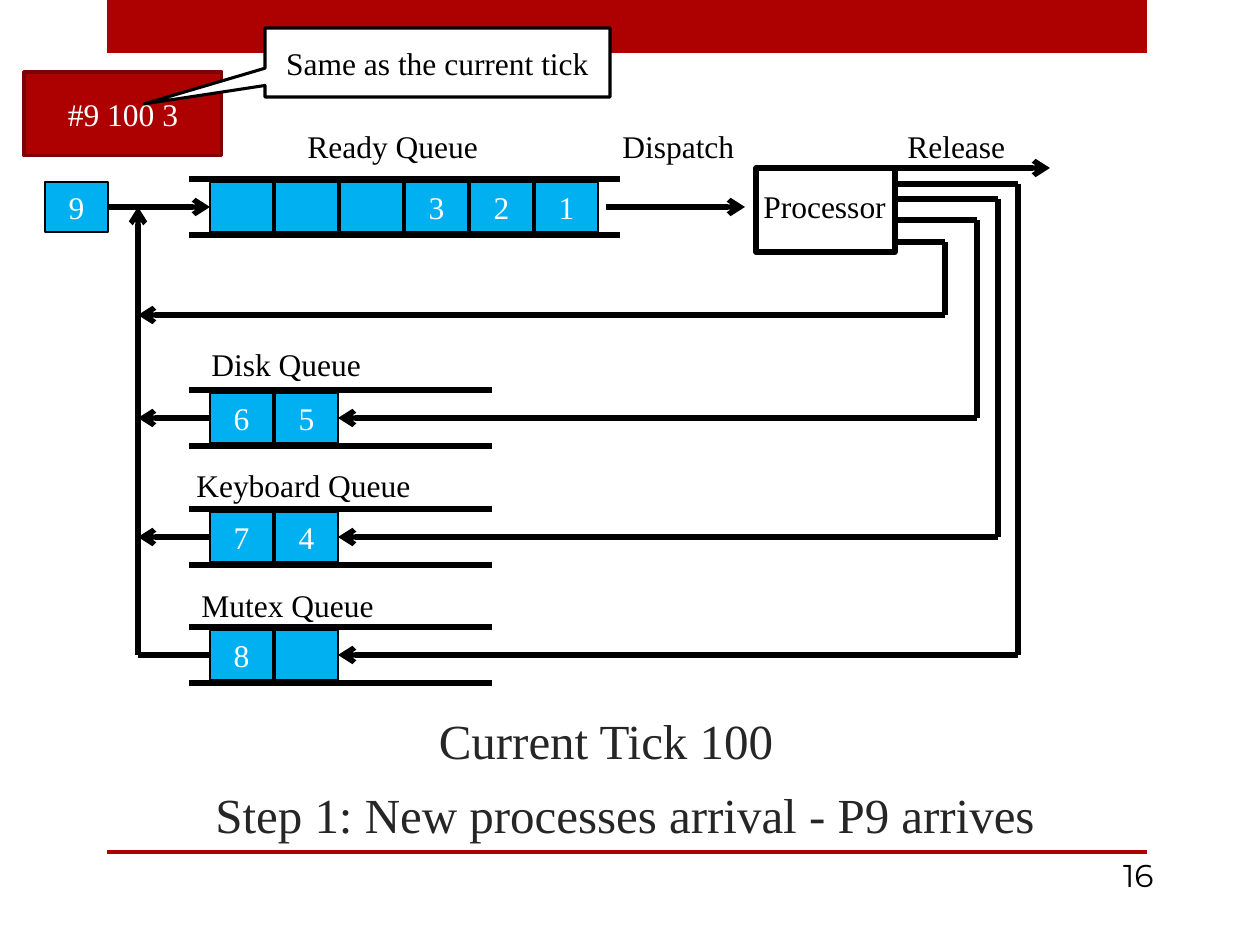
from lxml.etree import SubElement
from pptx import Presentation
from pptx.dml.color import RGBColor
from pptx.enum.shapes import MSO_CONNECTOR, MSO_SHAPE
from pptx.enum.text import MSO_ANCHOR, PP_ALIGN
from pptx.oxml.ns import qn
from pptx.util import Emu, Pt

HUES = {"red": "AD0101", "dark": "800101", "blue": "00B0F0",
        "black": "000000", "white": "FFFFFF", "gray": "262626"}
SCALE = 914400 / 126
SERIF = "Times New Roman"


def px(*nums):
    return [Emu(round(n * SCALE)) for n in nums]


def hue(name):
    return RGBColor.from_string(HUES[name])


class Board:
    def __init__(self, deck):
        self.slide = deck.slides.add_slide(deck.slide_layouts[5])
        self.shapes = self.slide.shapes

    def letter(self, frame, text, size=18, color="black", face=SERIF,
               align=PP_ALIGN.CENTER, anchor=MSO_ANCHOR.MIDDLE, wrap=True):
        frame.word_wrap = wrap
        frame.vertical_anchor = anchor
        para = frame.paragraphs[0]
        para.text = text
        para.alignment = align
        para.font.size = Pt(size)
        para.font.name = face
        para.font.color.rgb = hue(color)

    def box(self, area, fill=None, line=None, width=1.5, text="",
            color="white", kind=MSO_SHAPE.RECTANGLE):
        shape = self.shapes.add_shape(kind, *px(*area))
        shape.shadow.inherit = False
        if fill:
            shape.fill.solid()
            shape.fill.fore_color.rgb = hue(fill)
        else:
            shape.fill.background()
        if line:
            shape.line.color.rgb = hue(line)
            shape.line.width = Pt(width)
        else:
            shape.line.fill.background()
        if text:
            self.letter(shape.text_frame, text, color=color)
        return shape

    def label(self, area, text, **style):
        self.letter(self.shapes.add_textbox(*px(*area)).text_frame, text, **style)

    def title(self, area, text, **style):
        shape = self.shapes.title
        shape.left, shape.top, shape.width, shape.height = px(*area)
        self.letter(shape.text_frame, text, **style)

    def line(self, x1, y1, x2, y2, arrow=False, start=None, end=None):
        link = self.shapes.add_connector(MSO_CONNECTOR.STRAIGHT, *px(x1, y1, x2, y2))
        if start:
            link.begin_connect(*start)
        if end:
            link.end_connect(*end)
        link.line.color.rgb = hue("black")
        link.line.width = Pt(3)
        props = link._element.spPr
        if arrow:
            SubElement(props.find(qn("a:ln")), qn("a:tailEnd"), type="arrow")
        SubElement(props, qn("a:effectLst"))

    def cell(self, x, mid, text):
        return self.box((x, mid - 25, 63, 50), "blue", "black", text=text)

    def queue(self, mid, right, marks):
        for y in (mid - 28, mid + 28):
            self.line(189, y, right, y)
        return [self.cell(210 + 65 * i, mid, mark) for i, mark in enumerate(marks)]


def main():
    deck = Presentation()
    deck.slide_width, deck.slide_height = px(1260, 945)
    board = Board(deck)

    board.box((107, 0, 1040, 53), "red")
    board.box((107, 850, 1040, 4), "red")
    board.label((1071, 850, 95, 50), "16", face="Montserrat",
                align=PP_ALIGN.RIGHT, anchor=MSO_ANCHOR.TOP)

    ready = board.queue(207, 620, ["", "", "", "3", "2", "1"])
    disk = board.queue(418, 492, "65")
    keys = board.queue(537, 492, "74")
    mutex = board.queue(655, 492, ["8", ""])
    new = board.cell(45, 207, "9")
    board.box((756, 168, 139, 84), line="black", width=3)

    for x, y, wide, text in [
        (295, 121, 198, "Ready Queue"), (610, 121, 139, "Dispatch"),
        (895, 121, 125, "Release"), (751, 181, 149, "Processor"),
        (199, 339, 176, "Disk Queue"), (184, 460, 242, "Keyboard Queue"),
        (189, 580, 199, "Mutex Queue"),
    ]:
        board.label((x, y, wide, 50), text, align=PP_ALIGN.LEFT,
                    anchor=MSO_ANCHOR.TOP, wrap=False)

    board.line(108, 207, 208, 207, True, (new, 3), (ready[0], 1))
    board.line(606, 207, 745, 207, True)
    board.line(895, 168, 1050, 168, True)
    board.line(138, 655, 138, 207, True)

    for out, turn, mid, row in [(242, 945, 315, None), (220, 977, 418, disk),
                                (199, 998, 537, keys), (184, 1018, 655, mutex)]:
        board.line(895, out, turn, out)
        board.line(turn, out, turn, mid)
        board.line(turn, mid, 138, mid, True, end=(row[-1], 3) if row else None)
        if row:
            board.line(210, mid, 138, mid, row is not mutex, start=(row[0], 1))

    big = {"size": 28, "color": "gray", "anchor": MSO_ANCHOR.BOTTOM}
    board.title((105, 630, 1040, 220), "Step 1: New processes arrival - P9 arrives", **big)
    board.label((86, 556, 1040, 220), "Current Tick 100", **big)

    board.box((24, 72, 198, 84), "red", "dark", 1.75, "#9 100 3")
    note = board.box((265, 28, 345, 69), "white", "black", 1.75,
                     "Same as the current tick", "black",
                     MSO_SHAPE.RECTANGULAR_CALLOUT)
    note.adjustments[0] = -0.85
    note.adjustments[1] = 0.6

    deck.save("out.pptx")


if __name__ == "__main__":
    main()
